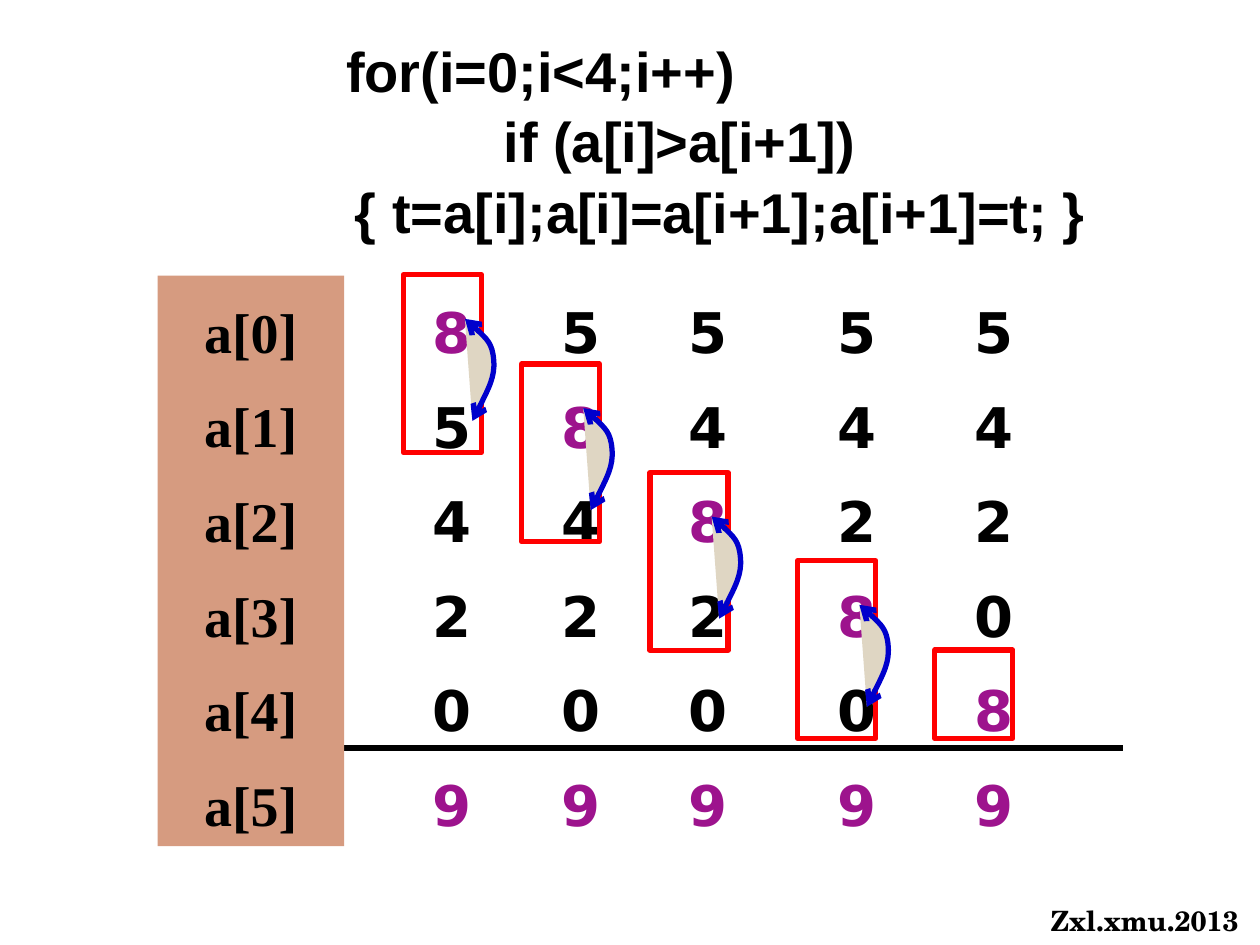
from dataclasses import dataclass

from lxml import etree
from pptx import Presentation
from pptx.dml.color import RGBColor
from pptx.enum import shapes, text
from pptx.oxml import ns
from pptx.util import Pt


@dataclass(frozen=True)
class Theme:
    ink: str = "000000"
    moved: str = "9D138D"
    frame: str = "FF0000"
    swap: str = "0000CC"
    swap_fill: str = "DFD6C3"
    index_fill: str = "D69B80"
    paper: str = "FFFFFF"
    code_font: str = "Arial"
    digit_font: str = "DejaVu Sans"
    index_font: str = "Times New Roman"
    credit_font: str = "TeX Gyre Schola"
    main_size: int = 32
    credit_size: int = 16
    stroke: int = 3


THEME = Theme()
CODE = [("for(i=0;i<4;i++)", 30), ("if (a[i]>a[i+1])", 120),
        ("{ t=a[i];a[i]=a[i+1];a[i+1]=t; }", 35)]
START = [8, 5, 4, 2, 0, 9]
COLUMN_LEFTS = [230.4, 303.84, 376.56, 461.52, 540]
FRAME_CORNERS = [(230.4, 157), (298, 208), (371.4, 270), (455.8, 320.4), (534.2, 371.5)]
COLUMN_TOP, COLUMN_WIDTH, COLUMN_HEIGHT = 157.5, 56, 326
FRAME_WIDTH, PAIR_HEIGHT, SINGLE_HEIGHT = 44.6, 101.5, 50.4
SWAP_CURVE = [(39.6, 83.5), (46.1, 70.6), (52.6, 58.3), (51.8, 49),
              (51.1, 38.9), (43.2, 31.7), (35.3, 25.2)]


def rgb(code):
    return RGBColor.from_string(code)


def place(item, left, top, width, height):
    item.left, item.top = Pt(left), Pt(top)
    item.width, item.height = Pt(width), Pt(height)


def fill_with(item, color):
    item.fill.solid()
    item.fill.fore_color.rgb = rgb(color)


def stroke_with(item, color):
    item.line.color.rgb = rgb(color)
    item.line.width = Pt(THEME.stroke)


def add_run(paragraph, words, font, color=THEME.ink, size=THEME.main_size):
    run = paragraph.add_run()
    run.text = words
    run.font.name, run.font.size, run.font.bold = font, Pt(size), True
    run.font.color.rgb = rgb(color)


def paragraphs(frame, count):
    return [frame.paragraphs[0]] + [frame.add_paragraph() for _ in range(count - 1)]


def indent(paragraph, left, first=0):
    properties = paragraph._p.get_or_add_pPr()
    properties.set("marL", str(Pt(left)))
    properties.set("indent", str(Pt(first)))
    etree.SubElement(properties, ns.qn("a:buNone"))


def write_column(frame, entries, font):
    frame.word_wrap = True
    frame.auto_size = text.MSO_AUTO_SIZE.NONE
    frame.vertical_anchor = text.MSO_ANCHOR.MIDDLE
    for row, (paragraph, (words, color)) in enumerate(
            zip(paragraphs(frame, len(entries)), entries)):
        indent(paragraph, 27, -27)
        paragraph.alignment = text.PP_ALIGN.CENTER
        paragraph.line_spacing = 1.2
        paragraph.space_before = Pt(8 if row else 0)
        add_run(paragraph, words, font, color)


def write_code(title):
    place(title, 160.6, 17.3, 471, 123.8)
    fill_with(title, THEME.paper)
    frame = title.text_frame
    frame.word_wrap = False
    frame.auto_size = text.MSO_AUTO_SIZE.NONE
    frame.vertical_anchor = text.MSO_ANCHOR.MIDDLE
    for paragraph, (line, left) in zip(paragraphs(frame, len(CODE)), CODE):
        indent(paragraph, left)
        paragraph.alignment = text.PP_ALIGN.LEFT
        paragraph.line_spacing = 1.05
        add_run(paragraph, line, THEME.code_font)


def write_indexes(body):
    place(body, 90, COLUMN_TOP, 106.6, COLUMN_HEIGHT)
    fill_with(body, THEME.index_fill)
    entries = [(f"a[{i}]", THEME.ink) for i in range(len(START))]
    write_column(body.text_frame, entries, THEME.index_font)
    body._element.getparent().append(body._element)


def add_values(slide, left, values):
    column = slide.shapes.add_textbox(Pt(left), Pt(COLUMN_TOP), Pt(COLUMN_WIDTH), Pt(COLUMN_HEIGHT))
    entries = [(str(v), THEME.moved if v >= START[0] else THEME.ink) for v in values]
    write_column(column.text_frame, entries, THEME.digit_font)


def add_frame(slide, left, top, height):
    frame = slide.shapes.add_shape(shapes.MSO_SHAPE.FLOWCHART_PROCESS,
                                   Pt(left), Pt(top), Pt(FRAME_WIDTH), Pt(height))
    frame.shadow.inherit = False
    frame.fill.background()
    stroke_with(frame, THEME.frame)


def add_swap(slide, left, top):
    start, *rest = [(Pt(left + x), Pt(top + y)) for x, y in SWAP_CURVE]
    builder = slide.shapes.build_freeform(*start)
    builder.add_line_segments(rest, close=False)
    swap = builder.convert_to_shape()
    swap.shadow.inherit = False
    fill_with(swap, THEME.swap_fill)
    stroke_with(swap, THEME.swap)
    outline = swap._element.find(".//" + ns.qn("a:path"))
    segments = outline.findall(ns.qn("a:lnTo"))
    for first in range(0, len(segments), 3):
        bend = etree.SubElement(outline, ns.qn("a:cubicBezTo"))
        for segment in segments[first:first + 3]:
            bend.append(segment[0])
            outline.remove(segment)
    for end in ("a:headEnd", "a:tailEnd"):
        etree.SubElement(swap.line._get_or_add_ln(), ns.qn(end), type="arrow")


def add_divider(slide):
    divider = slide.shapes.add_connector(shapes.MSO_CONNECTOR.STRAIGHT,
                                         Pt(186), Pt(427.5), Pt(641.5), Pt(427.5))
    stroke_with(divider, THEME.ink)
    etree.SubElement(divider._element.spPr, ns.qn("a:effectLst"))


def add_credit(slide):
    credit = slide.shapes.add_textbox(Pt(593.3), Pt(512.6), Pt(127.4), Pt(26.6))
    credit.text_frame.word_wrap = False
    add_run(credit.text_frame.paragraphs[0], "Zxl.xmu.2013",
            THEME.credit_font, size=THEME.credit_size)


def main():
    deck = Presentation()
    deck.slide_width, deck.slide_height = Pt(720), Pt(540)
    slide = deck.slides.add_slide(deck.slide_layouts[1])
    add_credit(slide)
    add_divider(slide)
    values = list(START)
    last = len(COLUMN_LEFTS) - 1
    for step, (left, corner) in enumerate(zip(COLUMN_LEFTS, FRAME_CORNERS)):
        add_values(slide, left, values)
        add_frame(slide, *corner, PAIR_HEIGHT if step < last else SINGLE_HEIGHT)
        if step < last:
            add_swap(slide, *corner)
            values[step], values[step + 1] = values[step + 1], values[step]
    write_indexes(slide.placeholders[1])
    write_code(slide.shapes.title)
    deck.save("out.pptx")


if __name__ == "__main__":
    main()
